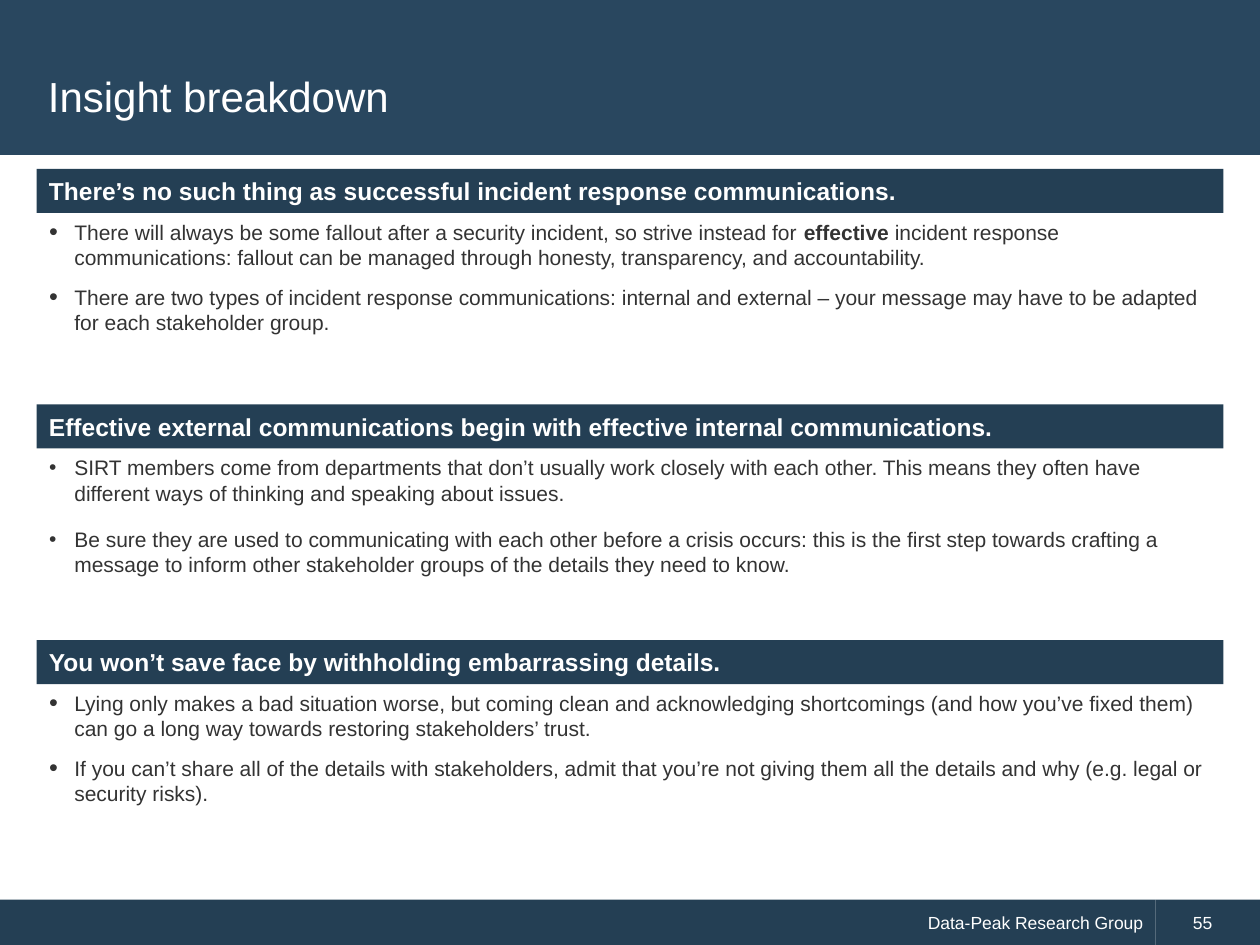
"""Build the "Insight breakdown" slide with three headed bullet lists."""
from lxml.etree import SubElement
from pptx import Presentation
from pptx.dml.color import RGBColor
from pptx.enum.shapes import MSO_SHAPE
from pptx.enum.text import MSO_ANCHOR, MSO_AUTO_SIZE, PP_ALIGN
from pptx.oxml.ns import qn
from pptx.util import Inches, Pt

NAVY = RGBColor(0x24, 0x3F, 0x54)
BLUE = RGBColor(0x29, 0x47, 0x5F)
GREY = RGBColor(0x33, 0x33, 0x33)
WHITE = RGBColor(0xFF, 0xFF, 0xFF)
FONT = "Arial"

TITLE = "Insight breakdown"
FOOTER = "Data-Peak Research Group"
PAGE_NUMBER = "55"
SECTIONS = [
    {
        "heading": "There’s no such thing as successful incident response communications.",
        "bullets": [
            [
                "There will always be some fallout after a security incident, so strive instead for ",
                "effective",
                " incident response communications: fallout can be managed through honesty, "
                "transparency, and accountability.",
            ],
            [
                "There are two types of incident response communications: internal and external – "
                "your message may have to be adapted for each stakeholder group."
            ],
        ],
        "space_before": 2.4,
        "bullet_percent": 120,
    },
    {
        "heading": "Effective external communications begin with effective internal communications.",
        "bullets": [
            [
                "SIRT members come from departments that don’t usually work closely with each other. "
                "This means they often have different ways of thinking and speaking about issues."
            ],
            [
                "Be sure they are used to communicating with each other before a crisis occurs: "
                "this is the first step towards crafting a message to inform other stakeholder "
                "groups of the details they need to know."
            ],
        ],
        "space_before": 6,
        "bullet_percent": 100,
    },
    {
        "heading": "You won’t save face by withholding embarrassing details.",
        "bullets": [
            [
                "Lying only makes a bad situation worse, but coming clean and acknowledging "
                "shortcomings (and how you’ve fixed them) can go a long way towards restoring "
                "stakeholders’ trust."
            ],
            [
                "If you can’t share all of the details with stakeholders, admit that you’re not "
                "giving them all the details and why (e.g. legal or security risks)."
            ],
        ],
        "space_before": 2.4,
        "bullet_percent": 120,
    },
]

COMPARISON_LAYOUT = 4
LEFT, TOP, PITCH = 0.29, 1.34, 1.87
BAR_WIDTH, BAR_HEIGHT = 9.42, 0.35
LIST_WIDTH, LIST_HEIGHT = 9.4, 1.51
FOOTER_TOP, FOOTER_HEIGHT, FOOTER_SPLIT = 7.14, 0.37, 9.17
INDENT = 0.2


def place(shape, left, top, width, height):
    shape.left, shape.top = Inches(left), Inches(top)
    shape.width, shape.height = Inches(width), Inches(height)


def style_run(run, size, color, bold=False):
    run.font.name = FONT
    run.font.size = Pt(size)
    run.font.bold = bold
    run.font.color.rgb = color


def set_line(shape, text, size, bold=False, align=PP_ALIGN.LEFT):
    frame = shape.text_frame
    frame.text = text
    frame.word_wrap = True
    frame.auto_size = MSO_AUTO_SIZE.NONE
    frame.vertical_anchor = MSO_ANCHOR.MIDDLE
    paragraph = frame.paragraphs[0]
    paragraph.alignment = align
    style_run(paragraph.runs[0], size, WHITE, bold)
    return paragraph


def add_bar(slide, left, top, width, height, color):
    shape = slide.shapes.add_shape(
        MSO_SHAPE.RECTANGLE, Inches(left), Inches(top), Inches(width), Inches(height)
    )
    shape.shadow.inherit = False
    shape.fill.solid()
    shape.fill.fore_color.rgb = color
    shape.line.fill.background()
    return shape


def set_bullet(paragraph, percent):
    properties = paragraph._p.get_or_add_pPr()
    properties.set("marL", str(Inches(INDENT)))
    properties.set("indent", str(-Inches(INDENT)))
    color = SubElement(properties, qn("a:buClr"))
    SubElement(color, qn("a:srgbClr"), val=str(GREY))
    SubElement(properties, qn("a:buSzPct"), val=str(percent * 1000))
    SubElement(properties, qn("a:buFont"), typeface=FONT)
    SubElement(properties, qn("a:buChar"), char="•")


def fill_list(body, section):
    frame = body.text_frame
    frame.word_wrap = True
    frame.auto_size = MSO_AUTO_SIZE.NONE
    frame.vertical_anchor = MSO_ANCHOR.TOP
    for index, parts in enumerate(section["bullets"]):
        paragraph = frame.add_paragraph() if index else frame.paragraphs[0]
        paragraph.alignment = PP_ALIGN.LEFT
        paragraph.space_before = Pt(section["space_before"])
        paragraph.space_after = Pt(6)
        set_bullet(paragraph, section["bullet_percent"])
        for part_index, part in enumerate(parts):
            run = paragraph.add_run()
            run.text = part
            style_run(run, 12, GREY, bold=part_index == 1)


def main():
    presentation = Presentation()
    presentation.slide_width, presentation.slide_height = Inches(10), Inches(7.5)
    slide = presentation.slides.add_slide(presentation.slide_layouts[COMPARISON_LAYOUT])
    title, *bodies, spare = slide.placeholders
    spare.element.getparent().remove(spare.element)

    banner = add_bar(slide, 0, 0, 10, 1.23, BLUE)
    title.element.addprevious(banner.element)
    place(title, 0.28, 0.28, 9.43, 0.96)
    set_line(title, TITLE, 24)

    for index, (body, section) in enumerate(zip(bodies, SECTIONS)):
        top = TOP + index * PITCH
        bar = add_bar(slide, LEFT, top, BAR_WIDTH, BAR_HEIGHT, NAVY)
        set_line(bar, section["heading"], 14, bold=True)
        place(body, LEFT, top + BAR_HEIGHT, LIST_WIDTH, LIST_HEIGHT)
        fill_list(body, section)

    footer = add_bar(slide, 0, FOOTER_TOP, FOOTER_SPLIT, FOOTER_HEIGHT, NAVY)
    set_line(footer, FOOTER, 10, align=PP_ALIGN.RIGHT)
    number = add_bar(slide, FOOTER_SPLIT, FOOTER_TOP, 10 - FOOTER_SPLIT, FOOTER_HEIGHT, NAVY)
    paragraph = set_line(number, PAGE_NUMBER, 10)
    paragraph._p.get_or_add_pPr().set("marL", str(Inches(INDENT)))

    presentation.save("out.pptx")


if __name__ == "__main__":
    main()
